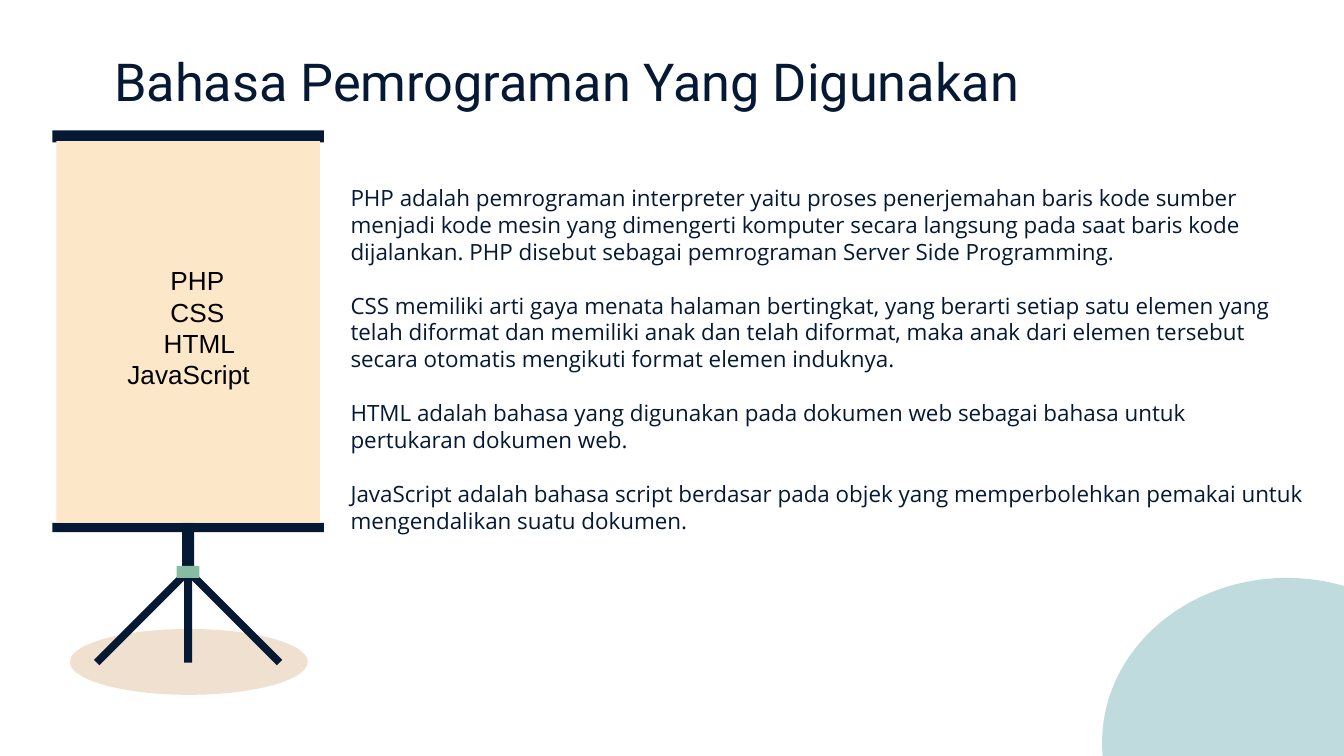
from lxml import etree
from pptx import Presentation
from pptx import util as u
from pptx.dml.color import RGBColor
from pptx.enum import shapes, text
from pptx.oxml.ns import qn

NAVY, GREEN, CREAM, BROWN, TEAL = "051934", "85BCA2", "FCE7C9", "B45F06", "BFDBDD"
RECT, OVAL = shapes.MSO_SHAPE.RECTANGLE, shapes.MSO_SHAPE.OVAL

TITLE = "Bahasa Pemrograman Yang Digunakan"
LANGUAGES = [("PHP", 0.75), ("CSS", 0.75), ("HTML", 0.7), ("JavaScript", 0.43)]
DESCRIPTIONS = [
    "PHP adalah pemrograman interpreter yaitu proses penerjemahan baris kode sumber "
    "menjadi kode mesin yang dimengerti komputer secara langsung pada saat baris kode "
    "dijalankan. PHP disebut sebagai pemrograman Server Side Programming.",
    "CSS memiliki arti gaya menata halaman bertingkat, yang berarti setiap satu elemen "
    "yang telah diformat dan memiliki anak dan telah diformat, maka anak dari elemen "
    "tersebut secara otomatis mengikuti format elemen induknya.",
    "HTML adalah bahasa yang digunakan pada dokumen web sebagai bahasa untuk "
    "pertukaran dokumen web.",
    "JavaScript adalah bahasa script berdasar pada objek yang memperbolehkan pemakai "
    "untuk mengendalikan suatu dokumen.",
]


def rgb(color):
    return RGBColor.from_string(color)


def paint(sp, color, alpha=None):
    sp.shadow.inherit = False
    sp.fill.solid()
    sp.fill.fore_color.rgb = rgb(color)
    sp.line.fill.background()
    if alpha is not None:
        clr = sp._element.spPr.find(".//" + qn("a:srgbClr"))
        etree.SubElement(clr, qn("a:alpha"), val=str(alpha * 1000))


def add_block(s, kind, x, y, w, h, color, alpha=None):
    sp = s.shapes.add_shape(kind, *map(u.Inches, (x, y, w, h)))
    paint(sp, color, alpha)


def add_polygon(s, points, color):
    points = [(u.Inches(x), u.Inches(y)) for x, y in points]
    builder = s.shapes.build_freeform(*points[0])
    builder.add_line_segments(points[1:], close=True)
    paint(builder.convert_to_shape(), color)


def add_run(p, words, font, size, color):
    r = p.add_run()
    r.text = words
    r.font.name, r.font.size = font, u.Pt(size)
    r.font.color.rgb = rgb(color)


def set_frame(tf, inset, anchor):
    tf.word_wrap = True
    tf.auto_size = text.MSO_AUTO_SIZE.NONE
    tf.vertical_anchor = anchor
    tf.margin_left = tf.margin_right = u.Inches(0.1)
    tf.margin_top = tf.margin_bottom = u.Inches(inset)


def add_title(s, x, y, w, h):
    sp = s.shapes.title
    sp.left, sp.top, sp.width, sp.height = map(u.Inches, (x, y, w, h))
    set_frame(sp.text_frame, 0.1, text.MSO_ANCHOR.MIDDLE)
    p = sp.text_frame.paragraphs[0]
    p.alignment = text.PP_ALIGN.LEFT
    add_run(p, TITLE, "Roboto", 28, NAVY)


def add_paragraphs(s, box, inset, count):
    tf = s.shapes.add_textbox(*map(u.Inches, box)).text_frame
    set_frame(tf, inset, text.MSO_ANCHOR.TOP)
    return [tf.paragraphs[0]] + [tf.add_paragraph() for _ in range(count - 1)]


def add_descriptions(s, x, y, w, h):
    for p, words in zip(add_paragraphs(s, (x, y, w, h), 0.1, len(DESCRIPTIONS)), DESCRIPTIONS):
        p.space_after = u.Pt(14.4)
        add_run(p, words, "Open Sans", 12, NAVY)


def add_stand(s, x, y, w):
    mid = x + w / 2
    add_block(s, OVAL, x + 0.13, y + 3.71, 1.77, 0.49, BROWN, 19)
    for side in (-1, 1):
        leg = [(0.02, 3.26), (0.7, 3.94), (0.66, 3.98), (-0.02, 3.3)]
        add_polygon(s, [(mid + side * dx, y + dy) for dx, dy in leg], NAVY)
    for width, top, height, color in [
        (0.06, 3.18, 0.78, NAVY),
        (0.09, 2.92, 0.41, NAVY),
        (0.17, 3.24, 0.09, GREEN),
        (w, 2.92, 0.07, NAVY),
        (w, 0, 0.09, NAVY),
        (1.96, 0.08, 2.84, CREAM),
    ]:
        add_block(s, RECT, mid - width / 2, y + top, width, height, color)
    box = (mid - 0.98, y + 0.95, 1.96, 1.04)
    for p, (name, indent) in zip(add_paragraphs(s, box, 0.05, len(LANGUAGES)), LANGUAGES):
        pPr = p._p.get_or_add_pPr()
        pPr.set("marL", str(u.Inches(indent)))
        pPr.set("indent", "0")
        add_run(p, name, "Arial", 14, "000000")


def main():
    prs = Presentation()
    prs.slide_width = u.Inches(10)
    prs.slide_height = prs.slide_width * 9 // 16
    s = prs.slides.add_slide(prs.slide_layouts[5])
    add_title(s, 0.75, 0.18, 7.45, 0.84)
    add_stand(s, 0.39, 0.97, 2.02)
    add_descriptions(s, 2.51, 1.27, 7.31, 2.92)
    add_block(s, OVAL, 8.2, 4.3, 2.75, 2.45, TEAL)
    prs.save("out.pptx")


if __name__ == "__main__":
    main()
